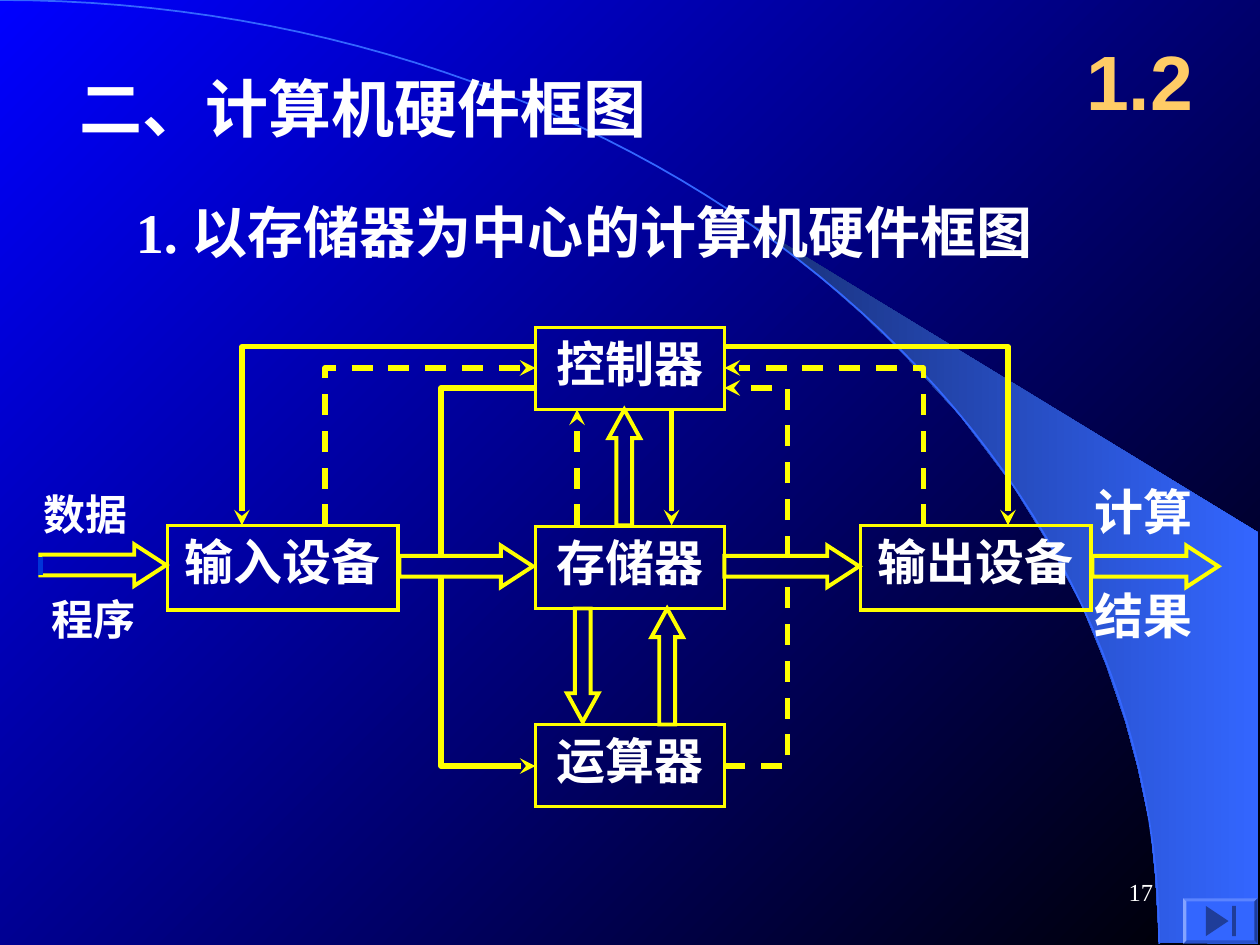
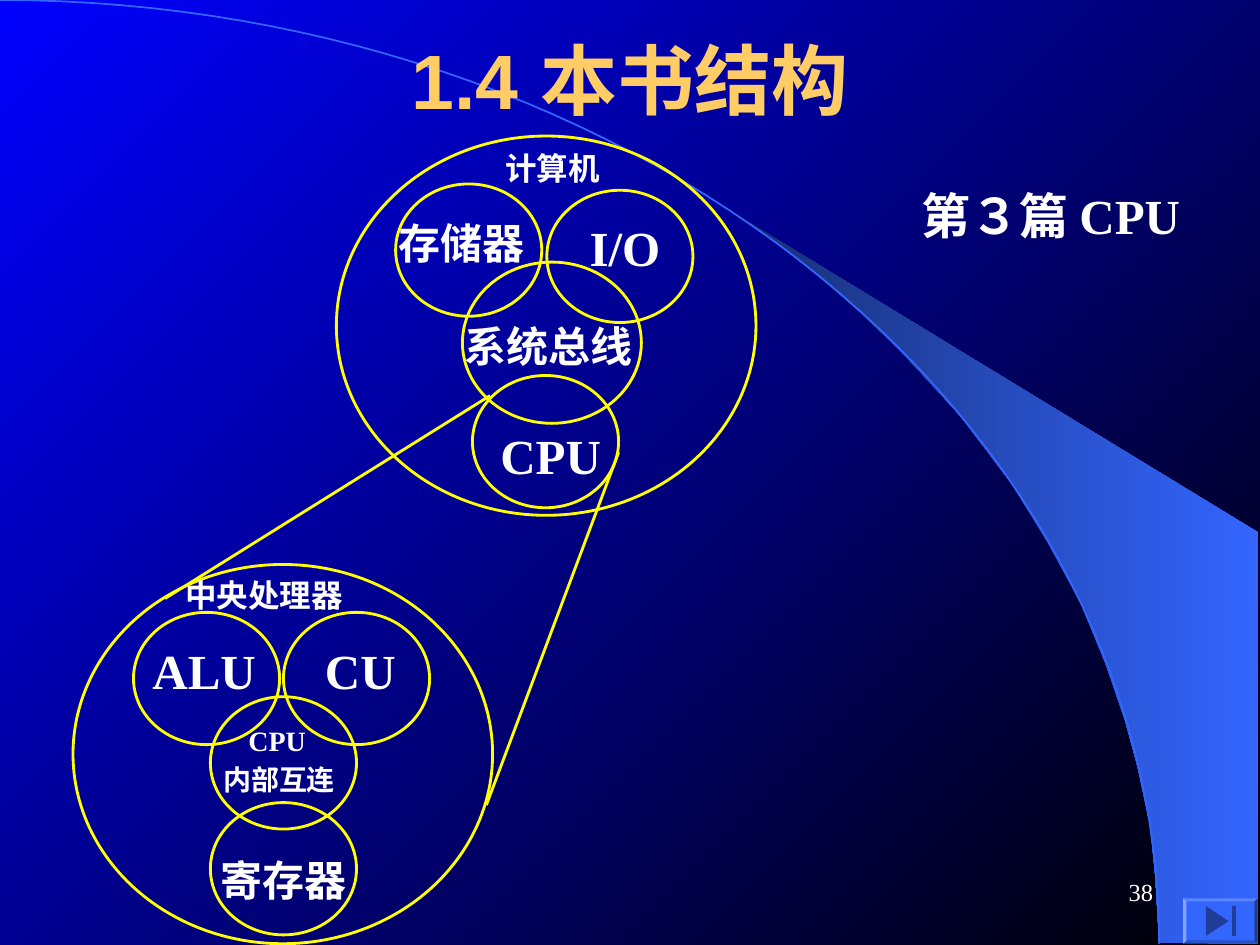
import math

from lxml import etree
from pptx import Presentation
from pptx import util as u
from pptx.dml import color
from pptx.enum import dml, shapes, text
from pptx.oxml import ns

CJK, LATIN, HEAD = "Noto Sans CJK SC", "Times New Roman", "Arial"
WHITE, GOLD, YELLOW, BLUE = "FFFFFF", "FFCC66", "FFFF00", "3366FF"
SHAPE, ALIGN, ANCHOR = shapes.MSO_SHAPE, text.PP_ALIGN, text.MSO_ANCHOR
WIRE, BLOCK, RING = 3, 2.25, 1.62  # line widths in points


def rgb(value):
    return color.RGBColor.from_string(value)


def inches(*values):
    return [u.Inches(v) for v in values]


def shift(origin, point):
    return origin[0] + point[0], origin[1] + point[1]


# ---- Text ----
def write(frame, runs, size, tint=WHITE, align=ALIGN.LEFT, anchor=ANCHOR.TOP,
          wrap=True, bold=True, inset=None):
    """Fill a frame with one paragraph of (text, font) runs."""
    settings = dict(word_wrap=wrap, vertical_anchor=anchor,
                    auto_size=text.MSO_AUTO_SIZE.NONE)
    if inset is not None:
        settings.update(dict.fromkeys(
            ("margin_left", "margin_top", "margin_right", "margin_bottom"),
            u.Inches(inset)))
    for name, value in settings.items():
        setattr(frame, name, value)
    paragraph = frame.paragraphs[0]
    paragraph.alignment = align
    for words, font in runs:
        run = paragraph.add_run()
        run.text = words
        for name, value in dict(size=u.Pt(size), bold=bold, name=font).items():
            setattr(run.font, name, value)
        run.font.color.rgb = rgb(tint)
        etree.SubElement(run.font._element, ns.qn("a:ea")).set("typeface", CJK)


def add_text(slide, box, runs, size, **style):
    label = slide.shapes.add_textbox(*inches(*box))
    write(label.text_frame, runs, size, **style)


def set_title(slide, box, runs, size, **style):
    title = slide.shapes.title
    for name, value in zip(("left", "top", "width", "height"), inches(*box)):
        setattr(title, name, value)
    write(title.text_frame, runs, size, **style)


# ---- Shapes and lines ----
def paint(shape, fill=None, line=None, width=1):
    shape.shadow.inherit = False
    if fill:
        shape.fill.solid()
        shape.fill.fore_color.rgb = rgb(fill)
    else:
        shape.fill.background()
    if line:
        shape.line.color.rgb = rgb(line)
        shape.line.width = u.Pt(width)
    else:
        shape.line.fill.background()
    return shape


def add_to_outline(shape, tag, **attributes):
    outline = shape._element.spPr.find(ns.qn("a:ln"))
    etree.SubElement(outline, ns.qn(tag), attributes)


def add_shape(slide, kind, box, fill=None, line=None, width=1, adjust=()):
    shape = slide.shapes.add_shape(kind, *inches(*box))
    for index, value in enumerate(adjust):
        shape.adjustments[index] = value
    paint(shape, fill, line, width)
    if line:
        add_to_outline(shape, "a:miter", lim="800000")
    return shape


def add_path(slide, points, close=False):
    start, *rest = [inches(*point) for point in points]
    builder = slide.shapes.build_freeform(*start)
    builder.add_line_segments(rest, close=close)
    return builder.convert_to_shape()


def set_gradient(fill, start, end, angle):
    fill.gradient()
    fill.gradient_angle = angle
    for stop, value, place in zip(fill.gradient_stops, (start, end), (0, 1)):
        stop.color.rgb = rgb(value)
        stop.position = place


def add_line(slide, start, end, tint=YELLOW, width=RING):
    line = slide.shapes.add_connector(
        shapes.MSO_CONNECTOR.STRAIGHT, *inches(*start, *end))
    line.line.color.rgb = rgb(tint)
    line.line.width = u.Pt(width)
    etree.SubElement(line._element.spPr, ns.qn("a:effectLst"))
    return line


def add_wire(slide, points, dashed=False, arrow=True):
    if len(points) == 2:
        wire = add_line(slide, *points, width=WIRE)
    else:
        wire = paint(add_path(slide, points), line=YELLOW, width=WIRE)
    if dashed:
        wire.line.dash_style = dml.MSO_LINE.DASH
    if arrow:
        add_to_outline(wire, "a:tailEnd", type="stealth")


# ---- Parts shared by the slides ----
def decorate_master(master, slide):
    """Gradient background, light beam and arc, moved behind everything."""
    set_gradient(master.background.fill, "0000FF", "000000", 315)
    beam = paint(add_path(slide, [
        (9.2, 7.48), (9.99, 7.49), (9.99, 4.23), (5.89, 1.73), (6.24, 1.99),
        (6.53, 2.22), (6.85, 2.5), (7.16, 2.8), (7.62, 3.3), (8.03, 3.84),
        (8.32, 4.31), (8.58, 4.79), (8.78, 5.28), (8.93, 5.72), (9.03, 6.09),
        (9.13, 6.56), (9.17, 6.96)], close=True))
    set_gradient(beam.fill, "182F76", BLUE, 0)
    steps = 60
    angles = [math.pi / 2 * i / steps for i in range(steps + 1)]
    arc = paint(add_path(slide, [(9.2 * math.sin(a), 7.49 * (1 - math.cos(a)))
                                 for a in angles]), line=BLUE)
    for index, part in enumerate((beam, arc)):
        master.shapes._spTree.insert(2 + index, part._element)


def add_footer(slide, number):
    add_text(slide, (7.17, 6.83, 2.08, 0.5), [(number, LATIN)], 14,
             align=ALIGN.RIGHT, anchor=ANCHOR.MIDDLE, bold=False)
    # Button that skips to the end
    left, top = 9.39, 7.13
    add_shape(slide, SHAPE.BEVEL, (left, top, 0.59, 0.36), BLUE, adjust=[0.07])
    paint(add_path(slide, [shift((left, top), p) for p in
                           ((0.36, 0.18), (0.18, 0.3), (0.18, 0.06))],
                   close=True), "1F3D99")
    add_shape(slide, SHAPE.RECTANGLE, (left + 0.39, top + 0.06, 0.03, 0.24),
              "1F3D99")


# ---- Slide 17: hardware block diagram ----
def draw_hardware(slide, origin):
    # Units
    for name, left, top, width, height in (
            ("存储器", 4, 1.58, 1.5, 0.65), ("输出设备", 6.58, 1.57, 1.83, 0.67),
            ("输入设备", 1.08, 1.57, 1.83, 0.67), ("运算器", 4, 3.15, 1.5, 0.65),
            ("控制器", 4, 0, 1.5, 0.65)):
        unit = add_shape(slide, SHAPE.RECTANGLE,
                         (*shift(origin, (left, top)), width, height),
                         line=YELLOW, width=2)
        write(unit.text_frame, [(name, CJK)], 28, align=ALIGN.CENTER)
    # Data flow
    for left, top, width in ((0.07, 1.72, 1), (2.92, 1.73, 1.06),
                             (5.5, 1.73, 1.07), (8.42, 1.73, 1)):
        add_shape(slide, SHAPE.RIGHT_ARROW,
                  (*shift(origin, (left, top)), width, 0.33),
                  line=YELLOW, width=BLOCK, adjust=(0.5, 0.77))
    for kind, left, top, height in ((SHAPE.UP_ARROW, 4.58, 0.65, 0.92),
                                    (SHAPE.UP_ARROW, 4.92, 2.23, 0.92),
                                    (SHAPE.DOWN_ARROW, 4.25, 2.23, 0.9)):
        add_shape(slide, kind, (*shift(origin, (left, top)), 0.25, height),
                  line=YELLOW, width=BLOCK, adjust=(0.5, 0.91))
    # Control wires (solid) and feedback wires (dashed)
    for points, dashed, arrow in (
            (((3.25, 1.82), (3.25, 0.48), (4, 0.48)), False, False),
            (((3.25, 1.98), (3.25, 3.48), (4, 3.48)), False, True),
            (((4, 0.15), (1.67, 0.15), (1.67, 1.57)), False, True),
            (((5.5, 0.15), (7.75, 0.15), (7.75, 1.57)), False, True),
            (((5.08, 0.65), (5.08, 1.57)), False, True),
            (((4.33, 1.57), (4.33, 0.65)), True, True),
            (((5.5, 3.48), (6, 3.48), (6, 1.98)), True, False),
            (((6, 1.82), (6, 0.48), (5.5, 0.48)), True, True),
            (((2.33, 1.57), (2.33, 0.32), (4, 0.32)), True, True),
            (((7.08, 1.57), (7.08, 0.32), (5.5, 0.32)), True, True)):
        add_wire(slide, [shift(origin, p) for p in points], dashed, arrow)
    # Input and output captions
    for caption, left, top, width, size in (
            ("数据", 0, 1.23, 0.86, 24), ("程序", 0.06, 2.06, 0.86, 24),
            ("计算", 8.34, 1.17, 0.97, 28), ("结果", 8.34, 2, 0.97, 28)):
        add_text(slide, (*shift(origin, (left, top)), width, 0.5),
                 [(caption, CJK)], size, wrap=False)
    add_line(slide, shift(origin, (0.07, 1.82)), shift(origin, (0.07, 1.96)),
             "0033D8", WIRE)


def build_hardware_slide(slide):
    set_title(slide, (0.53, 0.5, 7.05, 0.7), [("二、计算机硬件框图", CJK)], 36)
    add_text(slide, (8.42, 0.17, 1.25, 0.92), [("1.2", HEAD)], 44, tint=GOLD,
             align=ALIGN.CENTER, anchor=ANCHOR.MIDDLE)
    add_text(slide, (0.98, 1.52, 8.43, 0.64),
             [("1. 以存储器为中心的计算机硬件框图", LATIN)], 32)
    draw_hardware(slide, (0.25, 2.6))
    add_footer(slide, "17")


# ---- Slide 38: nested circles ----
def draw_circles(slide, origin, circles, labels):
    """Outer ring with inner circles and labels placed from its corner."""
    for left, top, width, height in [(0, 0, 3.33, 3.01)] + circles:
        add_shape(slide, SHAPE.OVAL,
                  (*shift(origin, (left, top)), width, height),
                  line=YELLOW, width=RING)
    for name, font, size, left, top, width in labels:
        add_text(slide, (*shift(origin, (left, top)), width, size / 60),
                 [(name, font)], size, align=ALIGN.CENTER, wrap=False, inset=0)


def build_structure_slide(slide):
    set_title(slide, (0.75, 0, 8.5, 1.25), [("1.4 本书结构", HEAD)], 44,
              tint=GOLD, align=ALIGN.CENTER, anchor=ANCHOR.MIDDLE)
    add_text(slide, (6.68, 1.42, 3.32, 0.57),
             [("第", CJK), ("３", LATIN), ("篇 ", CJK), ("CPU", LATIN)],
             28, align=ALIGN.CENTER)
    small = (1.16, 1.05)
    # Computer
    draw_circles(slide, (2.67, 1.08), [
        (0.47, 0.38, *small), (1.67, 0.43, *small),
        (1, 1, 1.42, 1.28), (1.08, 1.9, *small)], [
        ("计算机", CJK, 18, 1.34, 0.1, 0.75),
        ("存储器", CJK, 24, 0.49, 0.65, 1),
        ("I/O", LATIN, 28, 1.88, 0.65, 0.82),
        ("系统总线", CJK, 24, 1.02, 1.46, 1.33),
        ("CPU", LATIN, 28, 1.3, 2.3, 0.8)])
    # Central processor
    draw_circles(slide, (0.58, 4.48), [
        (0.48, 0.38, *small), (1.67, 0.38, *small),
        (1.09, 1.05, *small), (1.09, 1.89, *small)], [
        ("中央处理器", CJK, 18, 0.89, 0.09, 1.25),
        ("ALU", LATIN, 28, 0.63, 0.6, 0.82),
        ("CU", LATIN, 28, 2, 0.6, 0.56),
        ("CPU", LATIN, 16, 1.39, 1.26, 0.46),
        ("内部互连", CJK, 16, 1.19, 1.57, 0.89),
        ("寄存器", CJK, 24, 1.17, 2.3, 1)])
    # Zoom lines between the two
    add_line(slide, (3.89, 3.14), (1.31, 4.75))
    add_line(slide, (4.91, 3.59), (3.86, 6.39))
    add_footer(slide, "38")


def main():
    deck = Presentation()
    deck.slide_width, deck.slide_height = inches(10, 7.5)
    title_only = deck.slide_layouts[5]
    builders = (build_hardware_slide, build_structure_slide)
    pages = [deck.slides.add_slide(title_only) for _ in builders]
    decorate_master(deck.slide_master, pages[0])
    for build, page in zip(builders, pages):
        build(page)
    deck.save("out.pptx")


if __name__ == "__main__":
    main()
